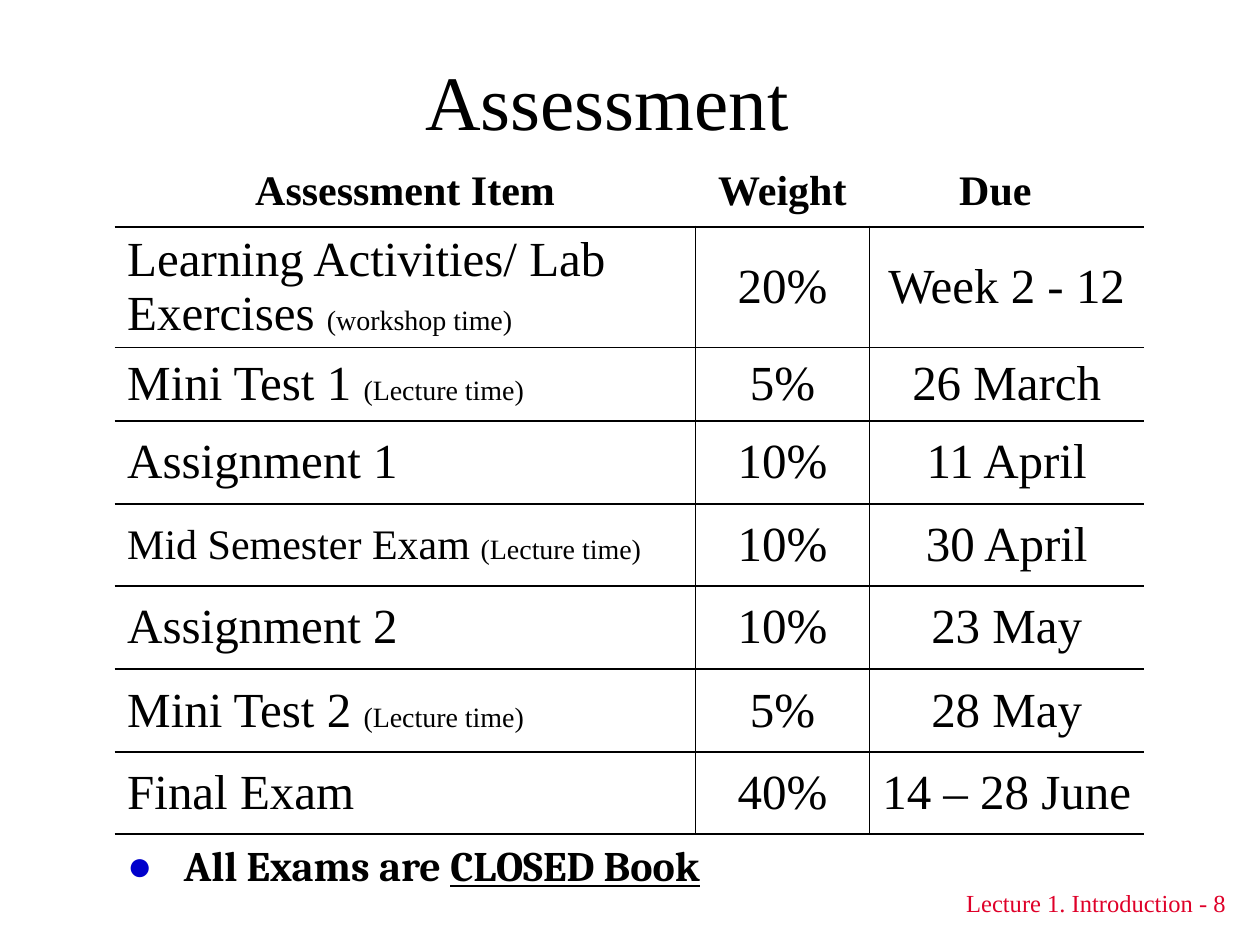
import pptx
import pptx.util
import pptx.dml.color
import pptx.enum.text
import pptx.oxml
from dataclasses import dataclass
from lxml import etree
from pptx.oxml import ns

Inches = pptx.util.Inches
Align = pptx.enum.text.PP_ALIGN
Anchor = pptx.enum.text.MSO_ANCHOR


@dataclass(frozen=True)
class Theme:
    font: str = "Times New Roman"
    note_font: str = "Cambria"
    ink: str = "000000"
    footer_ink: str = "DF0029"
    bullet: str = "0000CC"
    title: int = 44
    cell: int = 28
    heading: int = 24
    remark: int = 16
    footer: int = 14
    thick: float = 1.5
    thin: float = 1


THEME = Theme()

HEADINGS = ["Assessment Item", "Weight", "Due"]
# Item, its size, remark, weight, due date
ITEMS = [
    ("Learning Activities/ Lab Exercises ", THEME.cell, "(workshop time)", "20%", "Week 2 - 12"),
    ("Mini Test 1 ", THEME.cell, "(Lecture time)", "5%", "26 March"),
    ("Assignment 1", THEME.cell, "", "10%", "11 April"),
    ("Mid Semester Exam ", THEME.heading, "(Lecture time)", "10%", "30 April"),
    ("Assignment 2", THEME.cell, "", "10%", "23 May"),
    ("Mini Test 2 ", THEME.cell, "(Lecture time)", "5%", "28 May"),
    ("Final Exam", THEME.cell, "", "40%", "14 – 28 June"),
]
COLUMN_WIDTHS = [4.61, 1.38, 2.18]
ROW_HEIGHTS = [0.57, 0.96, 0.58, 0.66, 0.65, 0.66, 0.66, 0.65]


def add_run(paragraph, text, size, font=THEME.font, color=THEME.ink, bold=False, underline=False):
    run = paragraph.add_run()
    run.text = text
    run.font.size = pptx.util.Pt(size)
    run.font.name = font
    run.font.bold = bold
    run.font.underline = underline
    run.font.color.rgb = pptx.dml.color.RGBColor.from_string(color)


def place(shape, left, top, width, height):
    shape.left, shape.top = Inches(left), Inches(top)
    shape.width, shape.height = Inches(width), Inches(height)


def set_space_before(paragraph, percent):
    """Space before as a share of the text size."""
    paragraph.space_before = pptx.util.Pt(0)
    space = paragraph._p.pPr.find(ns.qn("a:spcBef"))
    space.clear()
    etree.SubElement(space, ns.qn("a:spcPct"), val=str(percent * 1000))


def set_bullet(paragraph, character, color, indent):
    properties = paragraph._p.get_or_add_pPr()
    properties.set("marL", str(Inches(indent)))
    properties.set("indent", str(-Inches(indent)))
    bullet_color = etree.SubElement(properties, ns.qn("a:buClr"))
    etree.SubElement(bullet_color, ns.qn("a:srgbClr"), val=color)
    etree.SubElement(properties, ns.qn("a:buChar"), char=character)


def set_borders(cell, widths):
    """Draw the sides given a width; hide the others."""
    properties = cell._tc.get_or_add_tcPr()
    for position, side in enumerate("LRTB"):
        line = etree.Element(ns.qn(f"a:ln{side}"))
        if side in widths:
            line.set("w", str(pptx.util.Pt(widths[side])))
            fill = etree.SubElement(line, ns.qn("a:solidFill"))
            etree.SubElement(fill, ns.qn("a:srgbClr"), val=THEME.ink)
        else:
            line.set("w", "0")
            etree.SubElement(line, ns.qn("a:noFill"))
        properties.insert(position, line)


def border_widths(row, column):
    """Thick rules around the body, thin ones inside it."""
    last_row, last_column = len(ITEMS), len(HEADINGS) - 1
    widths = {"B": THEME.thick if row in (0, last_row) else THEME.thin}
    if row > 0:
        widths["T"] = THEME.thick if row == 1 else THEME.thin
        if column > 0:
            widths["L"] = THEME.thin
        if column < last_column:
            widths["R"] = THEME.thin
    return widths


def fill_cell(table, row, column, runs, align, bold=False):
    cell = table.cell(row, column)
    cell.vertical_anchor = Anchor.MIDDLE
    # The row heights leave enough room around the text
    cell.margin_top = cell.margin_bottom = 0
    cell.fill.background()
    set_borders(cell, border_widths(row, column))
    paragraph = cell.text_frame.paragraphs[0]
    paragraph.alignment = align
    set_space_before(paragraph, 20)
    for text, size in runs:
        add_run(paragraph, text, size, bold=bold)
    return cell


def add_title(slide, text):
    title = slide.shapes.title
    place(title, 1.25, 0.17, 7.14, 1.25)
    title.text_frame.vertical_anchor = Anchor.MIDDLE
    paragraph = title.text_frame.paragraphs[0]
    paragraph.alignment = Align.CENTER
    add_run(paragraph, text, THEME.title)


def add_assessment_table(slide):
    frame = slide.shapes.add_table(
        len(ROW_HEIGHTS), len(COLUMN_WIDTHS), Inches(0.91), Inches(1.23),
        Inches(sum(COLUMN_WIDTHS)), Inches(sum(ROW_HEIGHTS)))
    table = frame.table
    table.first_row = table.horz_banding = False
    for column, width in zip(table.columns, COLUMN_WIDTHS):
        column.width = Inches(width)
    for row, height in zip(table.rows, ROW_HEIGHTS):
        row.height = Inches(height)

    for column, heading in enumerate(HEADINGS):
        cell = fill_cell(table, 0, column, [(heading, THEME.heading)], Align.CENTER, bold=True)
    # The last heading sits a little left of its column's centre
    cell.margin_right = Inches(0.28)

    for row, (item, size, remark, weight, due) in enumerate(ITEMS, start=1):
        runs = [(item, size)] + ([(remark, THEME.remark)] if remark else [])
        fill_cell(table, row, 0, runs, Align.LEFT)
        for column, text in enumerate((weight, due), start=1):
            fill_cell(table, row, column, [(text, THEME.cell)], Align.CENTER)


def add_exam_note(slide):
    body = slide.placeholders[1]
    place(body, 0.91, 6.66, 5.02, 0.47)
    paragraph = body.text_frame.paragraphs[0]
    paragraph.line_spacing = 0.9
    set_space_before(paragraph, 20)
    set_bullet(paragraph, "●", THEME.bullet, 0.45)
    add_run(paragraph, "All Exams are ", THEME.heading, THEME.note_font, bold=True)
    add_run(paragraph, "CLOSED Book", THEME.heading, THEME.note_font, bold=True, underline=True)


def add_footer(slide, text):
    footer = slide.shapes.add_textbox(Inches(7), Inches(7), Inches(2.83), Inches(0.33))
    footer.text_frame.word_wrap = True
    paragraph = footer.text_frame.paragraphs[0]
    paragraph.alignment = Align.RIGHT
    add_run(paragraph, text, THEME.footer, color=THEME.footer_ink)


def main():
    presentation = pptx.Presentation()
    presentation.slide_width, presentation.slide_height = Inches(10), Inches(7.5)
    slide = presentation.slides.add_slide(presentation.slide_layouts[1])
    add_footer(slide, "Lecture 1. Introduction - 8")
    add_title(slide, "Assessment")
    add_assessment_table(slide)
    add_exam_note(slide)
    presentation.save("out.pptx")


if __name__ == "__main__":
    main()
